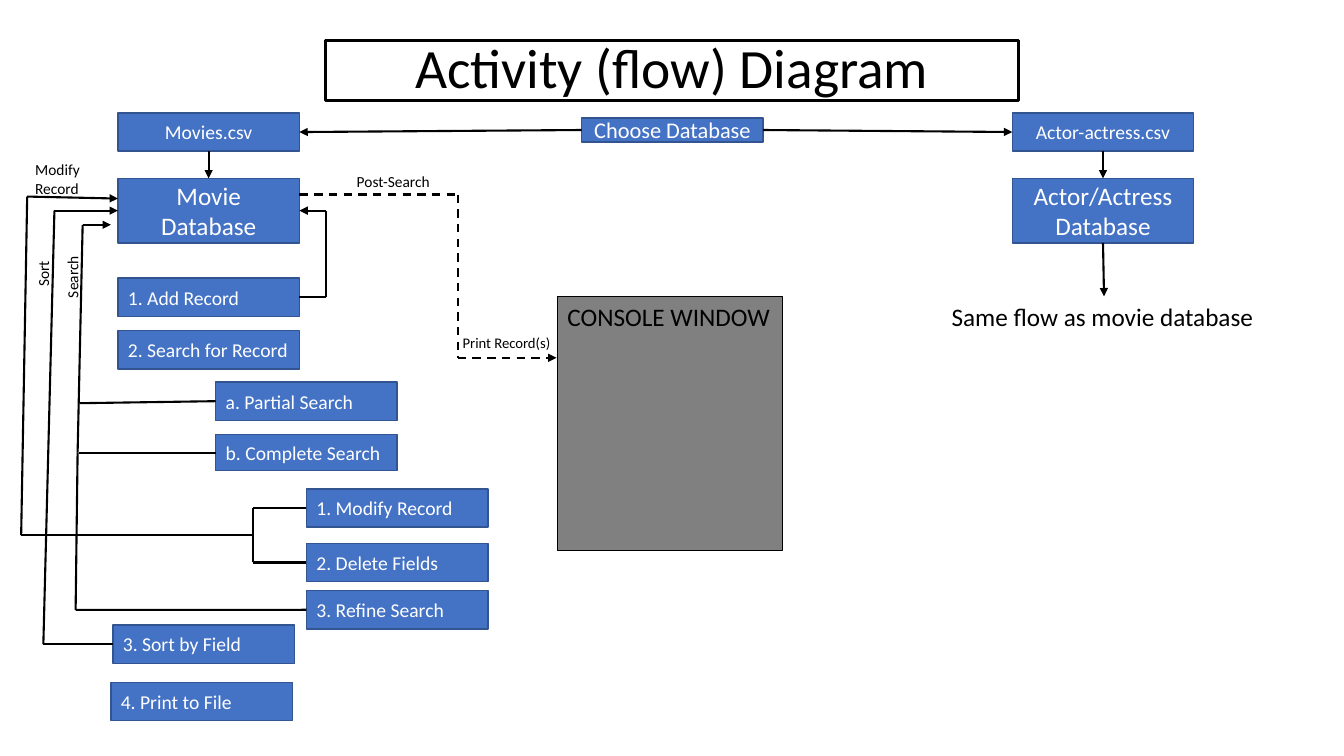
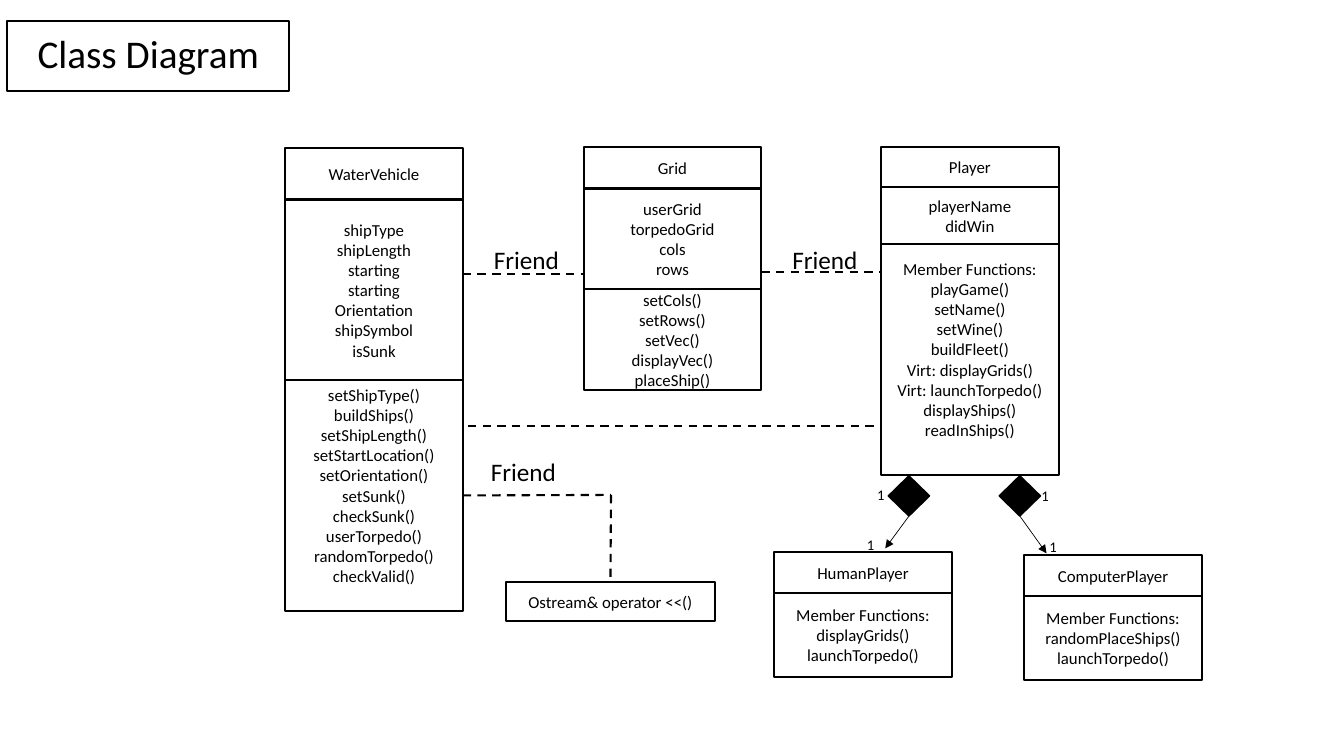
from dataclasses import dataclass
from itertools import pairwise
from typing import Any

import pptx
import pptx.dml.color
import pptx.enum.dml
import pptx.enum.shapes
import pptx.enum.text
import pptx.oxml
import pptx.oxml.ns
import pptx.util

Inches, Pt = pptx.util.Inches, pptx.util.Pt
SHAPE = pptx.enum.shapes.MSO_SHAPE
ALIGN = pptx.enum.text.PP_ALIGN
ANCHOR = pptx.enum.text.MSO_ANCHOR
AUTO_SIZE = pptx.enum.text.MSO_AUTO_SIZE

FONT = "Calibri"
BLACK, WHITE, BLUE, NAVY, GRAY = "000000", "FFFFFF", "4472C4", "325491", "808080"
TOP, LEFT, BOTTOM, RIGHT = range(4)
STEP_W, STEP_H = 1.8, 0.38
CLASS_W = 1.76


def rgb(color):
    return pptx.dml.color.RGBColor.from_string(color)


def write(frame, text, size, color, align):
    frame.text = text
    for paragraph in frame.paragraphs:
        paragraph.alignment = align
        paragraph.font.name = FONT
        paragraph.font.size = Pt(size)
        paragraph.font.color.rgb = rgb(color)


def outline(line, color, width):
    line.color.rgb = rgb(color)
    line.width = Pt(width)


@dataclass
class Region:
    """Part of a slide; lengths are in inches from its left top corner."""
    shapes: Any
    left: float = 0
    top: float = 0

    def place(self, x, y):
        return Inches(self.left + x), Inches(self.top + y)

    def box(self, x, y, width, height, text="", size=14, color=BLACK, fill=None,
            line=(BLACK, 1.5), align=ALIGN.CENTER, anchor=ANCHOR.MIDDLE,
            wrap=True, kind=SHAPE.RECTANGLE):
        box = self.shapes.add_shape(kind, *self.place(x, y), Inches(width), Inches(height))
        box.shadow.inherit = False
        if fill:
            box.fill.solid()
            box.fill.fore_color.rgb = rgb(fill)
        else:
            box.fill.background()
        outline(box.line, *line)
        frame = box.text_frame
        frame.word_wrap = wrap
        frame.vertical_anchor = anchor
        if text:
            write(frame, text, size, color, align)
        return box

    def step(self, x, y, text, height=STEP_H, size=14, align=ALIGN.LEFT):
        return self.box(x, y, STEP_W, height, text, size, WHITE, BLUE, (NAVY, 1), align)

    def label(self, x, y, width, height, text, size=11, rotation=0):
        label = self.shapes.add_textbox(*self.place(x, y), Inches(width), Inches(height))
        label.rotation = rotation
        label.text_frame.word_wrap = False
        label.text_frame.auto_size = AUTO_SIZE.SHAPE_TO_FIT_TEXT
        write(label.text_frame, text, size, BLACK, ALIGN.LEFT)

    def point(self, stop):
        """Position of a stop, which is (x, y) or (shape, side)."""
        target, side = stop
        if isinstance(target, (int, float)):
            return self.place(target, side)
        across, down = ((0.5, 0), (0, 0.5), (0.5, 1), (1, 0.5))[side]
        return (int(target.left + target.width * across),
                int(target.top + target.height * down))

    def route(self, *stops, arrow=False, dashed=False, width=1.5):
        """Draw straight lines from stop to stop, with any arrowhead on the last."""
        for start, end in pairwise(stops):
            link = self.shapes.add_connector(
                pptx.enum.shapes.MSO_CONNECTOR.STRAIGHT, *self.point(start), *self.point(end))
            outline(link.line, BLACK, width)
            if dashed:
                link.line.dash_style = pptx.enum.dml.MSO_LINE.DASH
            properties = link._element.spPr
            if arrow and end is stops[-1]:
                head = pptx.oxml.parse_xml(
                    f'<a:tailEnd {pptx.oxml.ns.nsdecls("a")} type="triangle"/>')
                properties.find(pptx.oxml.ns.qn("a:ln")).append(head)
            properties.append(pptx.oxml.parse_xml(
                f'<a:effectLst {pptx.oxml.ns.nsdecls("a")}/>'))
            if not isinstance(start[0], (int, float)):
                link.begin_connect(*start)
            if not isinstance(end[0], (int, float)):
                link.end_connect(*end)


def titled_slide(deck, text, left, top, width, height, size, border):
    slide = deck.slides.add_slide(deck.slide_layouts[5])
    title = slide.shapes.title
    title.left, title.top = Inches(left), Inches(top)
    title.width, title.height = Inches(width), Inches(height)
    outline(title.line, BLACK, border)
    frame = title.text_frame
    write(frame, text, size, BLACK, ALIGN.CENTER)
    frame.paragraphs[0].line_spacing = 0.9
    frame.vertical_anchor = ANCHOR.MIDDLE
    frame.auto_size = AUTO_SIZE.NONE
    return slide


def database_head(region, file_name, database_name):
    source = region.step(0, 0, file_name, align=ALIGN.CENTER)
    database = region.step(0, 0.65, database_name, 0.64, 18, ALIGN.CENTER)
    region.route((source, BOTTOM), (database, TOP), arrow=True)
    return source, database


def movie_operations(region, database):
    add = region.step(0.97, 0.86, "1. Add Record")
    region.step(0.97, 1.38, "2. Search for Record")
    partial = region.step(1.94, 1.89, "a. Partial Search")
    complete = region.step(1.94, 2.41, "b. Complete Search", 0.36)
    modify = region.step(2.84, 2.95, "1. Modify Record")
    delete = region.step(2.84, 3.49, "2. Delete Fields")
    refine = region.step(2.84, 3.96, "3. Refine Search")
    sort = region.step(0.92, 4.3, "3. Sort by Field")
    region.step(0.9, 4.87, "4. Print to File")

    region.route((add, RIGHT), (3.03, 1.05), (3.03, 0.19), (database, RIGHT), arrow=True)
    region.route((partial, LEFT), (0.59, 2.1))
    region.route((complete, LEFT), (0.58, 2.59))
    region.route((refine, LEFT), (0.55, 4.15), (0.57, 2.59), (0.62, 0.33), (0.9, 0.33),
                 arrow=True)
    region.route((modify, LEFT), (2.31, 3.14), (2.31, 3.41))
    region.route((delete, LEFT), (2.31, 3.68), (2.31, 3.41), (0.01, 3.41),
                 (0.07, 0.05), (0.97, 0.07), arrow=True)
    region.route((sort, LEFT), (0.23, 4.49), (0.34, 0.19), (database, LEFT), arrow=True)

    region.label(0.05, -0.36, 0.65, 0.47, "Modify\nRecord")
    region.label(0, 0.67, 0.46, 0.29, "Sort", rotation=270)
    region.label(0.21, 0.7, 0.62, 0.29, "Search", rotation=270)


def console(region):
    """Console window with the print route that leads to it."""
    region.box(2.56, 1.01, 2.23, 2.52, "CONSOLE WINDOW", 18, fill=GRAY, line=(BLACK, 0.75),
               align=ALIGN.LEFT, anchor=ANCHOR.TOP, wrap=False)
    region.route((0, 0), (1.57, 0), (1.57, 1.62), (2.55, 1.62), arrow=True, dashed=True)
    region.label(0.47, -0.27, 0.94, 0.29, "Post-Search")
    region.label(1.52, 1.33, 1.09, 0.28, "Print Record(s)", 10.5)


def activity_slide(deck):
    shapes = titled_slide(deck, "Activity (flow) Diagram",
                          3.23, 0.4, 6.87, 0.6, 39.6, 2.25).shapes
    movies, movie_database = database_head(
        Region(shapes, 1.17, 1.12), "Movies.csv", "Movie Database")
    actor_region = Region(shapes, 10.04, 1.12)
    actors, actor_database = database_head(
        actor_region, "Actor-actress.csv", "Actor/Actress Database")
    actor_region.route((actor_database, BOTTOM), (0.91, 1.82), arrow=True)
    actor_region.label(-0.7, 1.82, 3.23, 0.4, "Same flow as movie database", 18)

    page = Region(shapes)
    choice = page.step(5.77, 1.17, "Choose Database", 0.24, 16, ALIGN.CENTER)
    page.route((choice, LEFT), (movies, RIGHT), arrow=True)
    page.route((choice, RIGHT), (actors, LEFT), arrow=True)

    movie_operations(Region(shapes, 0.2, 1.9), movie_database)
    console(Region(shapes, 2.97, 1.93))


def class_box(shapes, left, top, *sections):
    """Stack (height, lines, space below) sections; return the last one's shape."""
    region = Region(shapes.add_group_shape().shapes, left, top)
    y = 0
    for height, lines, space_below in sections:
        section = region.box(0, y, CLASS_W, height, "\n".join(lines), 12)
        section.text_frame.margin_bottom = Inches(0.05 + space_below)
        y += height
    return section


def ownership(region, target, *ones):
    diamond = region.box(0, 0, 0.41, 0.4, fill=BLACK, line=(BLACK, 1), kind=SHAPE.DIAMOND)
    region.route((diamond, BOTTOM), target, arrow=True, width=0.5)
    for x, y in ones:
        region.label(x, y, 0.28, 0.29, "1", 10.5)


def class_slide(deck):
    shapes = titled_slide(deck, "Class Diagram", 0.07, 0.21, 2.8, 0.69, 28, 1.5).shapes
    vehicle_functions = class_box(
        shapes, 2.83, 1.47,
        (0.51, ["WaterVehicle"], 0),
        (1.79, ["shipType", "shipLength", "starting", "starting", "Orientation",
                "shipSymbol", "isSunk"], 0),
        (2.29, ["setShipType()", "buildShips()", "setShipLength()", "setStartLocation()",
                "setOrientation()", "setSunk()", "checkSunk()", "userTorpedo()",
                "randomTorpedo()", "checkValid()"], 0.2))
    class_box(
        shapes, 5.79, 1.46,
        (0.41, ["Grid"], 0),
        (1, ["userGrid", "torpedoGrid", "cols", "rows"], 0),
        (1, ["setCols()", "setRows()", "setVec()", "displayVec()", "placeShip()"], 0))
    class_box(
        shapes, 8.74, 1.46,
        (0.4, ["Player"], 0),
        (0.56, ["playerName", "didWin"], 0),
        (2.29, ["Member Functions:", "playGame()", "setName()", "setWine()", "buildFleet()",
                "Virt: displayGrids()", "Virt: launchTorpedo()", "displayShips()",
                "readInShips()"], 0.2))
    for left, top, name, function in ((7.68, 5.48, "HumanPlayer", "displayGrids()"),
                                      (10.16, 5.51, "ComputerPlayer", "randomPlaceShips()")):
        class_box(shapes, left, top, (0.4, [name], 0),
                  (0.84, ["Member Functions:", function, "launchTorpedo()"], 0))

    ownership(Region(shapes, 8.81, 4.72), (-0.03, 0.72), (-0.21, 0.05), (-0.31, 0.55))
    ownership(Region(shapes, 9.91, 4.72), (0.47, 0.77), (0.32, 0.06), (0.4, 0.57))

    page = Region(shapes)
    operator = page.box(5.02, 5.77, 2.07, 0.39, "Ostream& operator <<()", 12)
    page.route((vehicle_functions, RIGHT), (6.06, 4.91), (operator, TOP), dashed=True)
    page.route((4.59, 2.72), (5.79, 2.72), dashed=True)
    page.route((7.55, 2.7), (8.74, 2.7), dashed=True)
    page.route((4.64, 4.23), (8.74, 4.23), dashed=True)
    for x, y in ((4.8, 2.37), (7.76, 2.37), (4.77, 4.48)):
        page.label(x, y, 0.86, 0.4, "Friend", 18)


def main():
    deck = pptx.Presentation()
    deck.slide_width, deck.slide_height = Inches(13.33), Inches(7.5)
    activity_slide(deck)
    class_slide(deck)
    deck.save("out.pptx")


if __name__ == "__main__":
    main()
